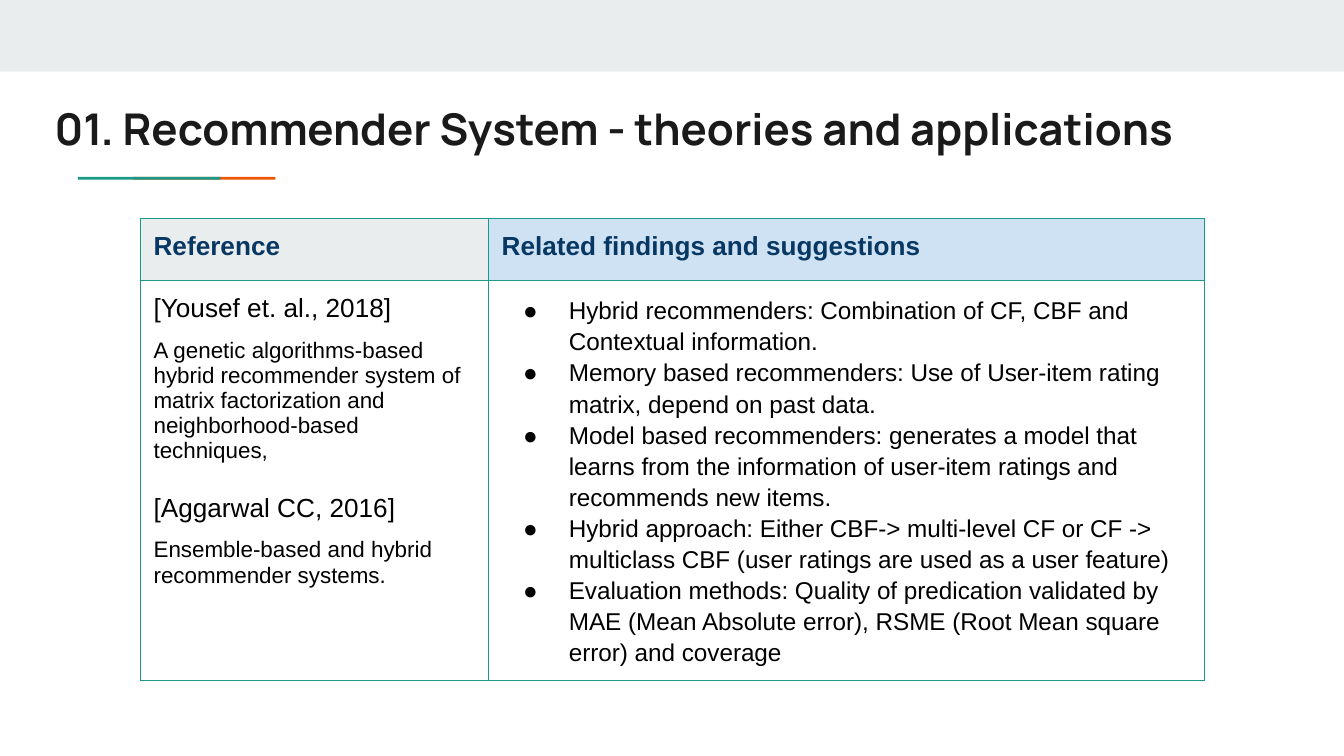
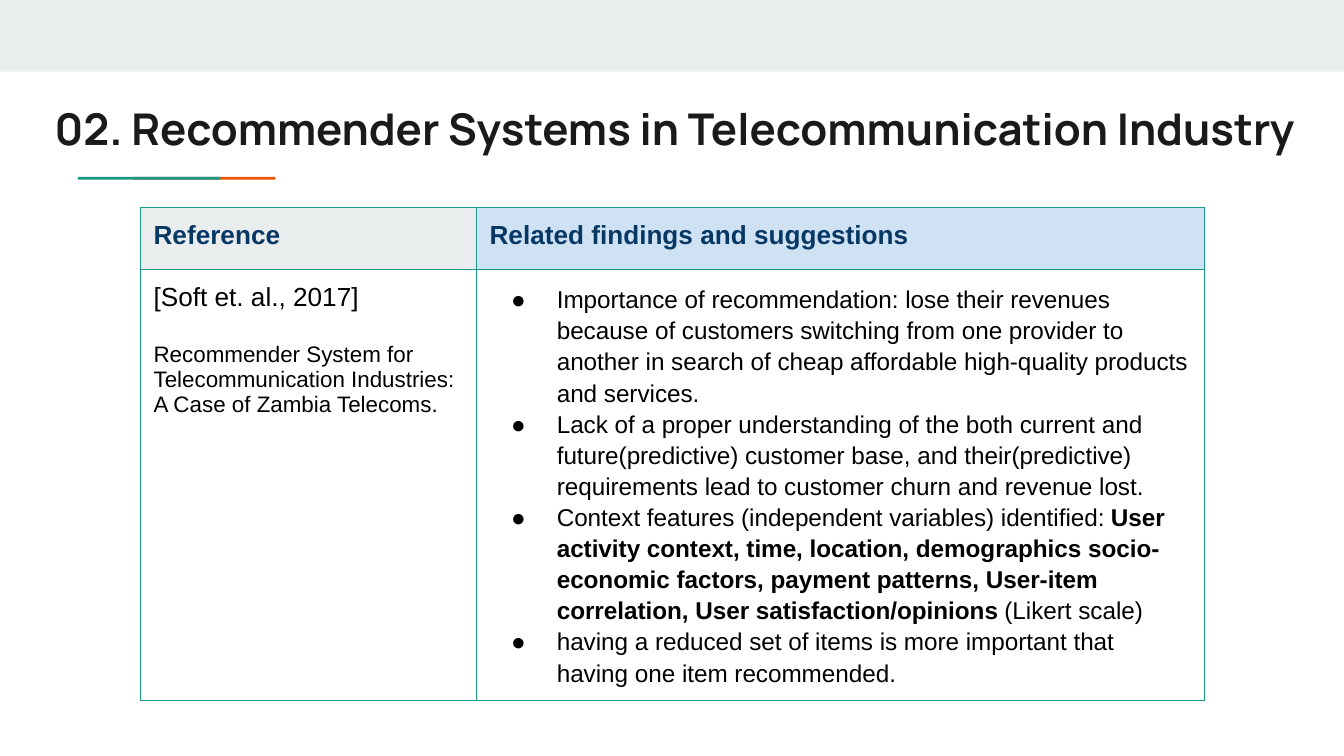
from pptx import Presentation
from pptx.dml.color import RGBColor
from pptx.enum.shapes import MSO_SHAPE as Shape
from pptx.enum.text import MSO_ANCHOR as Anchor, MSO_AUTO_SIZE as AutoSize, PP_ALIGN as Align
from pptx.oxml import parse_xml
from pptx.oxml.ns import nsdecls
from pptx.util import Inches, Pt

WIDTH = Inches(10)
HEIGHT = WIDTH * 9 // 16
COLUMNS = 100
COLORS = {
    "band": "E9EDEE",
    "teal": "1A9988",
    "orange": "EB5600",
    "title": "1A1A1A",
    "heading": "073763",
    "findings": "CFE2F3",
    "text": "000000",
}
TITLE_FONT, BODY_FONT = "Manrope", "Arial"
HEADINGS = [("Reference", "band"), ("Related findings and suggestions", "findings")]
TABLE_LEFT, TABLE_WIDTH, HEADER_HEIGHT = 10.43, 79.2, 4.6
PADDING = 1


def grid(count):
    return int(WIDTH * count / COLUMNS)


def color(name):
    return RGBColor.from_string(COLORS[name])


def style(para, size, ink="text", bold=False, font=BODY_FONT):
    para.font.name = font
    para.font.size = Pt(size)
    para.font.bold = bold
    para.font.color.rgb = color(ink)


def add_bar(page, left, top, width, height, fill):
    bar = page.shapes.add_shape(Shape.RECTANGLE, *map(grid, (left, top, width, height)))
    bar.shadow.inherit = False
    bar.fill.solid()
    bar.fill.fore_color.rgb = color(fill)
    bar.line.fill.background()


def pad(box):
    box.margin_left = box.margin_right = grid(PADDING)
    box.margin_top = box.margin_bottom = grid(PADDING)


def set_title(page, text, width):
    title = page.shapes.title
    title.left, title.top, title.width, title.height = map(grid, (3.06, 6.6, width, 5.9))
    frame = title.text_frame
    pad(frame)
    frame.auto_size = AutoSize.NONE
    frame.word_wrap = True
    frame.vertical_anchor = Anchor.MIDDLE
    frame.text = text
    para = frame.paragraphs[0]
    para.alignment = Align.LEFT
    style(para, 23.4, "title", True, TITLE_FONT)


def add_page(deck, text, title_width):
    page = deck.slides.add_slide(deck.slide_layouts[5])
    add_bar(page, 0, 0, COLUMNS, 5.33, "band")
    for left, fill in ((9.9, "orange"), (5.8, "teal")):
        add_bar(page, left, 13.17, 10.6, 0.2, fill)
    set_title(page, text, title_width)
    return page


def format_cell(cell, fill=None):
    pad(cell)
    properties = cell._tc.get_or_add_tcPr()
    for side in ("lnL", "lnR", "lnT", "lnB"):
        properties.append(parse_xml(
            f'<a:{side} {nsdecls("a")} w="{Pt(0.75)}"><a:solidFill>'
            f'<a:srgbClr val="{COLORS["teal"]}"/></a:solidFill></a:{side}>'))
    if fill:
        cell.fill.solid()
        cell.fill.fore_color.rgb = color(fill)
    else:
        cell.fill.background()


def add_bullet(para):
    properties = para._p.get_or_add_pPr()
    properties.set("marL", str(grid(5)))
    properties.set("indent", str(-grid(3.4)))
    for xml in (f'<a:buClr {nsdecls("a")}><a:srgbClr val="{COLORS["text"]}"/></a:buClr>',
                f'<a:buFont {nsdecls("a")} typeface="{BODY_FONT}"/>',
                f'<a:buChar {nsdecls("a")} char="●"/>'):
        properties.append(parse_xml(xml))


def paragraphs(cell, count):
    frame = cell.text_frame
    return [frame.paragraphs[0]] + [frame.add_paragraph() for _ in range(count - 1)]


def fill_references(cell, references, gap):
    lines = [line for reference in references for line in reference]
    for index, (para, line) in enumerate(zip(paragraphs(cell, len(lines)), lines)):
        is_source = index % 2 == 0
        para.text = line
        style(para, 14 if is_source else 12)
        if index:
            para.space_before = Pt(16 if is_source else gap)


def fill_findings(cell, findings):
    for para, finding in zip(paragraphs(cell, len(findings)), findings):
        para.line_spacing = 1.15
        style(para, 13)
        add_bullet(para)
        for index, part in enumerate(finding.split("**")):
            span = para.add_run()
            span.text = part
            if index % 2:
                span.font.bold = True


def add_findings_table(page, top, first_width, body_height, references, gap, findings):
    table = page.shapes.add_table(
        2, 2, grid(TABLE_LEFT), grid(top), grid(TABLE_WIDTH),
        grid(HEADER_HEIGHT + body_height)).table
    table.first_row = table.horz_banding = False
    for column, width in zip(table.columns, (first_width, TABLE_WIDTH - first_width)):
        column.width = grid(width)
    for row, height in zip(table.rows, (HEADER_HEIGHT, body_height)):
        row.height = grid(height)
    for index, (heading, fill) in enumerate(HEADINGS):
        header = table.cell(0, index)
        format_cell(header, fill)
        header.text = heading
        style(header.text_frame.paragraphs[0], 14, "heading", True)
        format_cell(table.cell(1, index))
    fill_references(table.cell(1, 0), references, gap)
    fill_findings(table.cell(1, 1), findings)


def main():
    deck = Presentation()
    deck.slide_width, deck.slide_height = WIDTH, HEIGHT

    theories = add_page(deck, "01. Recommender System - theories and applications", 90.9)
    add_findings_table(theories, 16.26, 25.9, 29.7, [
        ("[Yousef et. al., 2018]",
         "A genetic algorithms-based hybrid recommender system of matrix factorization "
         "and neighborhood-based techniques,"),
        ("[Aggarwal CC, 2016]", "Ensemble-based and hybrid recommender systems."),
    ], 8, [
        "Hybrid recommenders: Combination of CF, CBF and Contextual information.",
        "Memory based recommenders: Use of User-item rating matrix, depend on past data.",
        "Model based recommenders: generates a model that learns from the information of "
        "user-item ratings and recommends new items.",
        "Hybrid approach: Either CBF-> multi-level CF or CF -> multiclass CBF (user ratings "
        "are used as a user feature)",
        "Evaluation methods: Quality of predication validated by MAE (Mean Absolute error), "
        "RSME (Root Mean square error) and coverage",
    ])

    telecom = add_page(deck, "02. Recommender Systems in Telecommunication Industry", 94.8)
    add_findings_table(telecom, 15.44, 25, 32, [
        ("[Soft et. al., 2017]",
         "Recommender System for Telecommunication Industries: A Case of Zambia Telecoms."),
    ], 16, [
        "Importance of recommendation: lose their revenues because of customers switching "
        "from one provider to another in search of cheap affordable high-quality products "
        "and services.",
        "Lack of a proper understanding of the both current and future(predictive) customer "
        "base, and their(predictive) requirements lead to customer churn and revenue lost.",
        "Context features (independent variables) identified: **User activity context, time, "
        "location, demographics socio-economic factors, payment patterns, User-item "
        "correlation, User satisfaction/opinions **(Likert scale)",
        "having a reduced set of items is more important that having one item recommended.",
    ])

    deck.save("out.pptx")


if __name__ == "__main__":
    main()
